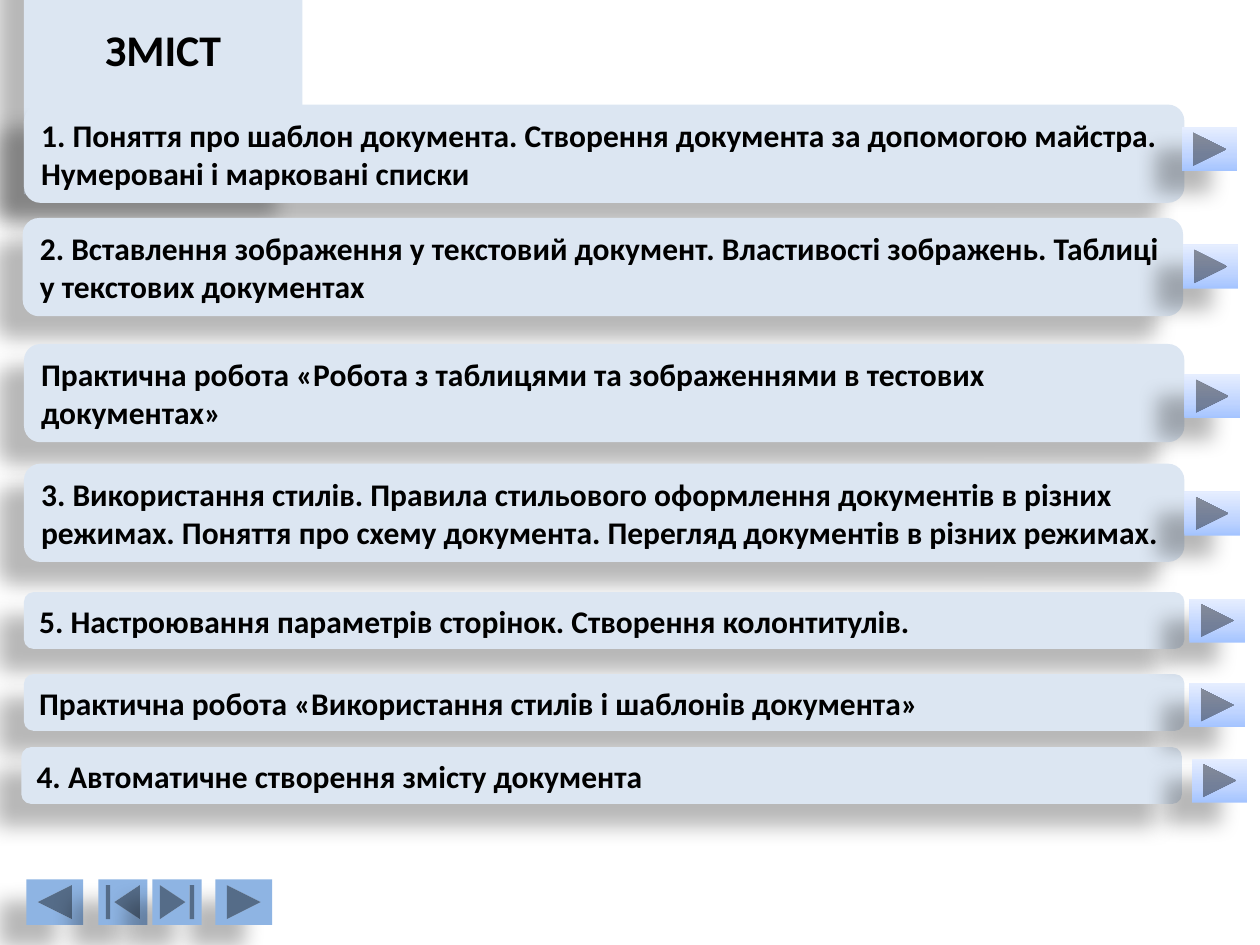
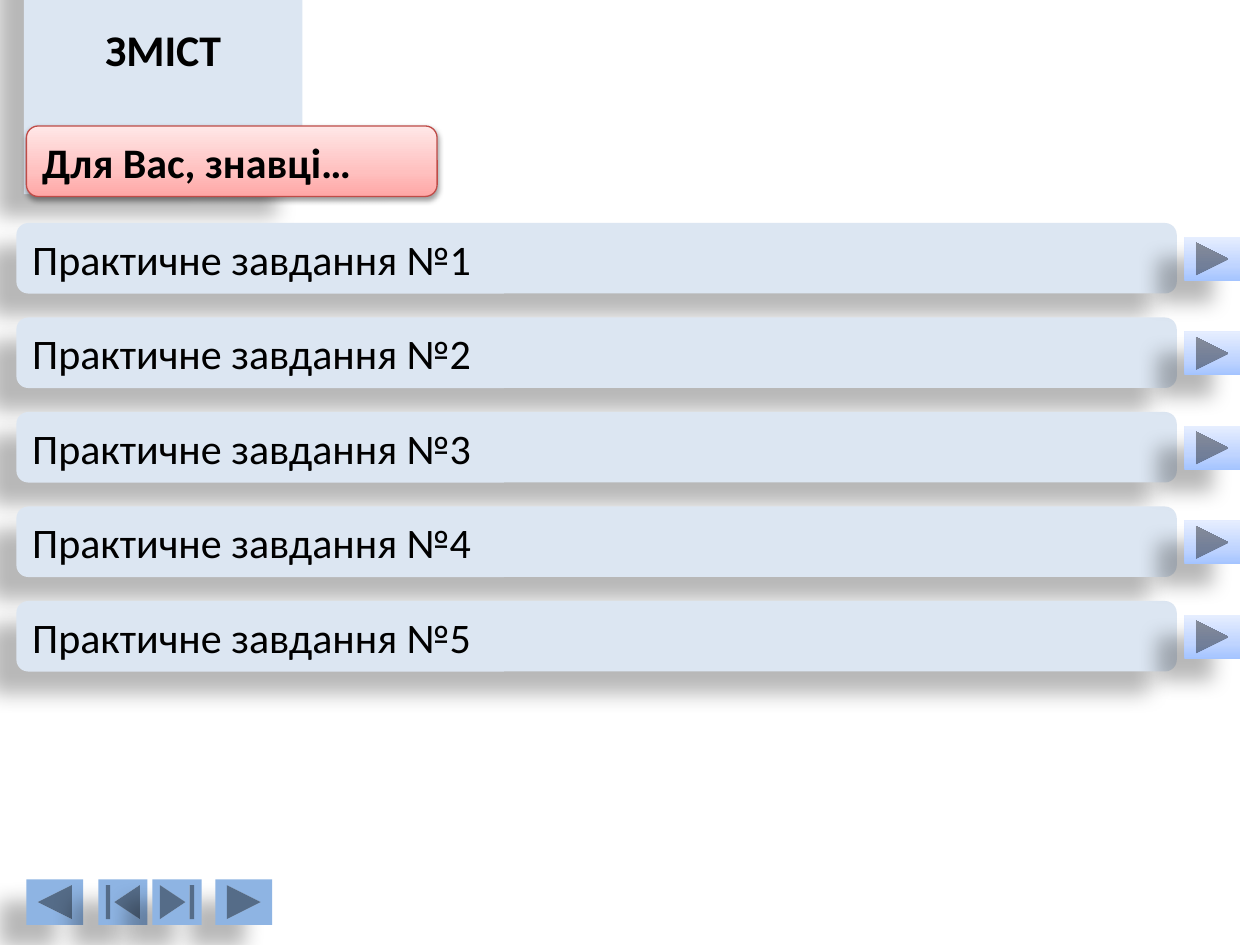
import pptx
import pptx.util
import pptx.dml.color
import pptx.enum.shapes
import pptx.enum.text
import pptx.oxml
import pptx.oxml.ns

Inches = pptx.util.Inches
Pt = pptx.util.Pt
RGBColor = pptx.dml.color.RGBColor
SHAPE = pptx.enum.shapes.MSO_SHAPE
ALIGN = pptx.enum.text.PP_ALIGN
qn = pptx.oxml.ns.qn
NS = pptx.oxml.ns.nsdecls("a")

FONT = "Calibri"
BLACK = RGBColor(0x00, 0x00, 0x00)
PALE = RGBColor(0xDC, 0xE6, 0xF2)
BLUE = RGBColor(0x8E, 0xB4, 0xE3)
RED = RGBColor(0xBF, 0x4C, 0x48)
SKY = (RGBColor(0xA4, 0xC4, 0xFF), RGBColor(0xBF, 0xD4, 0xFF), RGBColor(0xE6, 0xEE, 0xFF))
ROSE = (RGBColor(0xFF, 0xA6, 0xA5), RGBColor(0xFF, 0xC0, 0xBF), RGBColor(0xFF, 0xE7, 0xE7))
STOPS = (0, 35, 100)

# Shadows: opacity in percent, blur and distance in points, angle in degrees
DEEP = (28, 11.8, 19.7, 141)
SOFT = (38, 3.1, 1.6, 90)

# Left, width and shape of each button in the bottom row
NAV = (
    (0.21, 0.45, SHAPE.ACTION_BUTTON_BACK_OR_PREVIOUS),
    (1.71, 0.45, SHAPE.ACTION_BUTTON_FORWARD_OR_NEXT),
    (0.78, 0.39, SHAPE.ACTION_BUTTON_BEGINNING),
    (1.21, 0.39, SHAPE.ACTION_BUTTON_END),
)

# Text, left, top and height of the bar, then left and top of its button
TOPICS = (
    ("1. Поняття про шаблон документа. Створення документа за допомогою майстра. "
     "Нумеровані і марковані списки", 0.19, 0.83, 0.78, 9.38, 1.01),
    ("2. Вставлення зображення у текстовий документ. Властивості зображень. "
     "Таблиці у текстових документах", 0.18, 1.73, 0.78, 9.39, 1.94),
    ("Практична робота «Робота з таблицями та зображеннями в тестових документах»",
     0.19, 2.73, 0.78, 9.4, 2.97),
    ("3. Використання стилів. Правила стильового оформлення документів в різних режимах. "
     "Поняття про схему документа. Перегляд документів в різних режимах.",
     0.19, 3.68, 0.78, 9.4, 3.9),
    ("5. Настроювання параметрів сторінок. Створення колонтитулів.",
     0.19, 4.7, 0.45, 9.44, 4.75),
    ("Практична робота «Використання стилів і шаблонів документа»",
     0.19, 5.35, 0.45, 9.44, 5.42),
    ("4. Автоматичне створення змісту документа", 0.17, 5.93, 0.45, 9.46, 6.02),
)


class Deck:
    def __init__(self):
        self.prs = pptx.Presentation()
        self.prs.slide_width = Inches(10)
        self.prs.slide_height = Inches(7.5)
        self.slide = None

    def start(self, title):
        """Add a slide with its title and bottom buttons."""
        self.slide = self.prs.slides.add_slide(self.prs.slide_layouts[5])
        self.title(title)
        for left, width, kind in NAV:
            self.shape(kind, left, 6.98, width, 0.36, BLUE)

    def title(self, text):
        box = self.slide.shapes.title
        box.left, box.top = Inches(0.19), Inches(0.1)
        box.width, box.height = Inches(2.21), Inches(0.58)
        box.element.spPr.insert(1, pptx.oxml.parse_xml(
            f'<a:prstGeom {NS} prst="roundRect"><a:avLst/></a:prstGeom>'))
        self.paint(box, PALE)
        self.label(box, text, 25, True, ALIGN.CENTER)

    def shape(self, kind, left, top, width, height, fill, line=None, shadow=DEEP):
        item = self.slide.shapes.add_shape(
            kind, Inches(left), Inches(top), Inches(width), Inches(height))
        self.paint(item, fill, line, shadow)
        return item

    def bar(self, text, left, top, width, height, size, bold=False, **style):
        style.setdefault("fill", PALE)
        item = self.shape(SHAPE.ROUNDED_RECTANGLE, left, top, width, height, **style)
        self.label(item, text, size, bold)

    def button(self, left, top):
        self.shape(SHAPE.ACTION_BUTTON_FORWARD_OR_NEXT, left, top, 0.44, 0.35, SKY)

    def paint(self, item, fill, line=None, shadow=DEEP):
        if isinstance(fill, RGBColor):
            item.fill.solid()
            item.fill.fore_color.rgb = fill
        else:
            self.blend(item, fill)
        if line is None:
            item.line.fill.background()
        else:
            item.line.color.rgb = line
            item.line.width = Pt(0.75)
        self.shade(item, *shadow)

    def blend(self, item, tones):
        """Fill with a gradient that runs from bottom to top."""
        item.fill.gradient()
        item.fill.gradient_angle = 90
        stops = item.element.spPr.find(".//" + qn("a:gsLst"))
        stops.clear()
        for place, tone in zip(STOPS, tones):
            stops.append(pptx.oxml.parse_xml(
                f'<a:gs {NS} pos="{place * 1000}"><a:srgbClr val="{tone}"/></a:gs>'))

    def shade(self, item, alpha, blur, far, angle):
        """Cast a black outer shadow."""
        item.shadow.inherit = False
        item.element.spPr.find(qn("a:effectLst")).append(pptx.oxml.parse_xml(
            f'<a:outerShdw {NS} blurRad="{Pt(blur)}" dist="{Pt(far)}" '
            f'dir="{angle * 60000}" rotWithShape="0"><a:srgbClr val="000000">'
            f'<a:alpha val="{alpha * 1000}"/></a:srgbClr></a:outerShdw>'))

    def label(self, item, text, size, bold, align=ALIGN.LEFT):
        frame = item.text_frame
        frame.word_wrap = True
        frame.auto_size = pptx.enum.text.MSO_AUTO_SIZE.SHAPE_TO_FIT_TEXT
        frame.vertical_anchor = pptx.enum.text.MSO_ANCHOR.MIDDLE
        para = frame.paragraphs[0]
        para.alignment = align
        run = para.add_run()
        run.text = text
        run.font.name = FONT
        run.font.size = Pt(size)
        run.font.bold = bold
        run.font.color.rgb = BLACK


def topics(deck):
    deck.start("ЗМІСТ")
    for text, left, top, height, _, _ in TOPICS:
        deck.bar(text, left, top, 9.21, height, 18, True)
    for *_, left, top in TOPICS:
        deck.button(left, top)


def tasks(deck):
    deck.start("ЗМІСТ")
    deck.bar("Для Вас, знавці…", 0.21, 1, 3.26, 0.56, 24, True,
             fill=ROSE, line=RED, shadow=SOFT)
    tops = [1.77 + 0.75 * i for i in range(5)]
    for number, top in enumerate(tops, 1):
        deck.bar(f"Практичне завдання №{number}", 0.13, top, 9.21, 0.56, 24)
    for top in tops:
        deck.button(9.4, top + 0.11)


def main():
    deck = Deck()
    topics(deck)
    tasks(deck)
    deck.prs.save("out.pptx")


if __name__ == "__main__":
    main()
